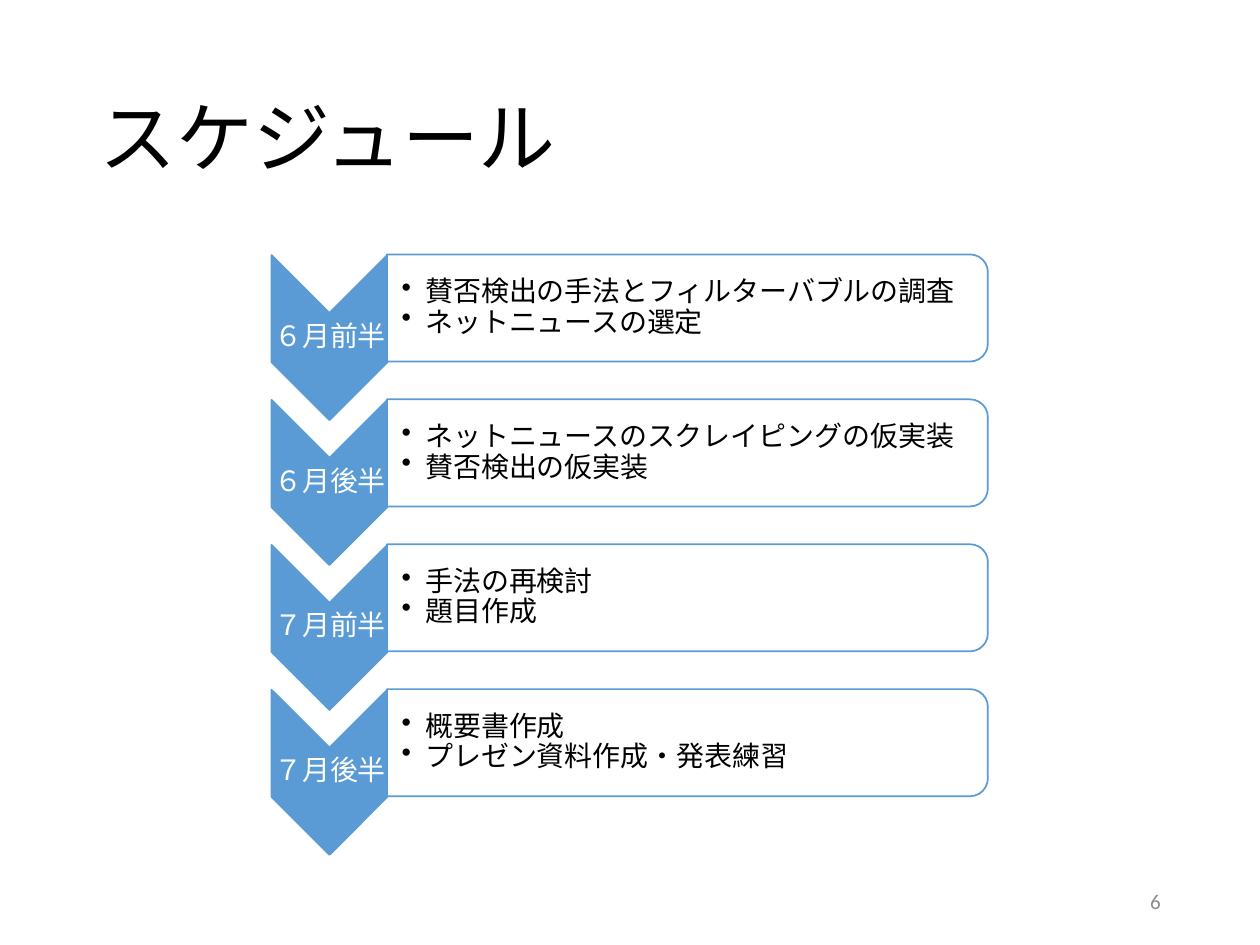
import pptx
import pptx.util
import pptx.dml.color
import pptx.enum.shapes
import pptx.enum.text
import pptx.oxml.ns
import lxml.etree

Pt = pptx.util.Pt
SHAPE = pptx.enum.shapes.MSO_SHAPE
ALIGN = pptx.enum.text.PP_ALIGN
COLORS = {"blue": "5B9BD5", "white": "FFFFFF", "black": "000000", "gray": "8C8C8C"}
rgb = {name: pptx.dml.color.RGBColor.from_string(value) for name, value in COLORS.items()}
qn = pptx.oxml.ns.qn


def add_text(page, frame, lines, size, color, align=ALIGN.LEFT, insets=(7.2, 3.6, 7.2, 3.6), spacing=0.9):
    box = page.shapes.add_textbox(*[Pt(value) for value in frame])
    text = box.text_frame
    text.word_wrap = True
    text.vertical_anchor = pptx.enum.text.MSO_ANCHOR.MIDDLE
    text.margin_left, text.margin_top, text.margin_right, text.margin_bottom = [Pt(value) for value in insets]
    text.text = "\n".join(lines)
    for para in text.paragraphs:
        para.alignment = align
        para.line_spacing = spacing
        para.font.size = Pt(size)
        para.font.name = "Calibri"
        para.font.color.rgb = rgb[color]
    return text


def add_turned_shape(page, kind, frame, fill):
    shape = page.shapes.add_shape(kind, *[Pt(value) for value in frame])
    shape.rotation = 90
    shape.shadow.inherit = False
    shape.fill.solid()
    shape.fill.fore_color.rgb = rgb[fill]
    shape.line.color.rgb = rgb["blue"]
    shape.line.width = Pt(1)
    return shape


schedule = [
    ("６月前半", ["賛否検出の手法とフィルターバブルの調査", "ネットニュースの選定"]),
    ("６月後半", ["ネットニュースのスクレイピングの仮実装", "賛否検出の仮実装"]),
    ("７月前半", ["手法の再検討", "題目作成"]),
    ("７月後半", ["概要書作成", "プレゼン資料作成・発表練習"]),
]
row_pitch = 82.8

deck = pptx.Presentation()
deck.slide_width, deck.slide_height = Pt(720), Pt(540)
page = deck.slides.add_slide(deck.slide_layouts[6])

add_text(page, (49.7, 28.8, 620.6, 104.4), ["スケジュール"], 44, "black")

for row, (period, tasks) in enumerate(schedule):
    shift = row * row_pitch
    add_turned_shape(page, SHAPE.CHEVRON, (141.1, 159.8 + shift, 94.3, 66.2), "blue")
    add_text(page, (155.2, 178.6 + shift, 66.8, 28), [period], 16, "white", ALIGN.CENTER, (0.7,) * 4)

    panel = add_turned_shape(page, SHAPE.ROUND_2_SAME_RECTANGLE, (362.2, 4.3 + shift, 61.2, 343.4), "white")
    fill_color = panel.fill._xPr.find(qn("a:solidFill"))[0]
    lxml.etree.SubElement(fill_color, qn("a:alpha"), val="90000")

    text = add_text(page, (221, 148.3 + shift, 340.6, 55.4), tasks, 16, "black", insets=(8.6, 0.7, 0.7, 0.7))
    for para in text.paragraphs:
        properties = para._p.get_or_add_pPr()
        properties.set("marL", str(Pt(13.5)))
        properties.set("indent", str(-Pt(13.5)))
        bullet = lxml.etree.Element(qn("a:buChar"), char="•")
        properties.find(qn("a:lnSpc")).addnext(bullet)

add_text(page, (508.3, 500.4, 162, 28.8), ["6"], 12, "gray", ALIGN.RIGHT, spacing=1.0)

deck.save("out.pptx")
